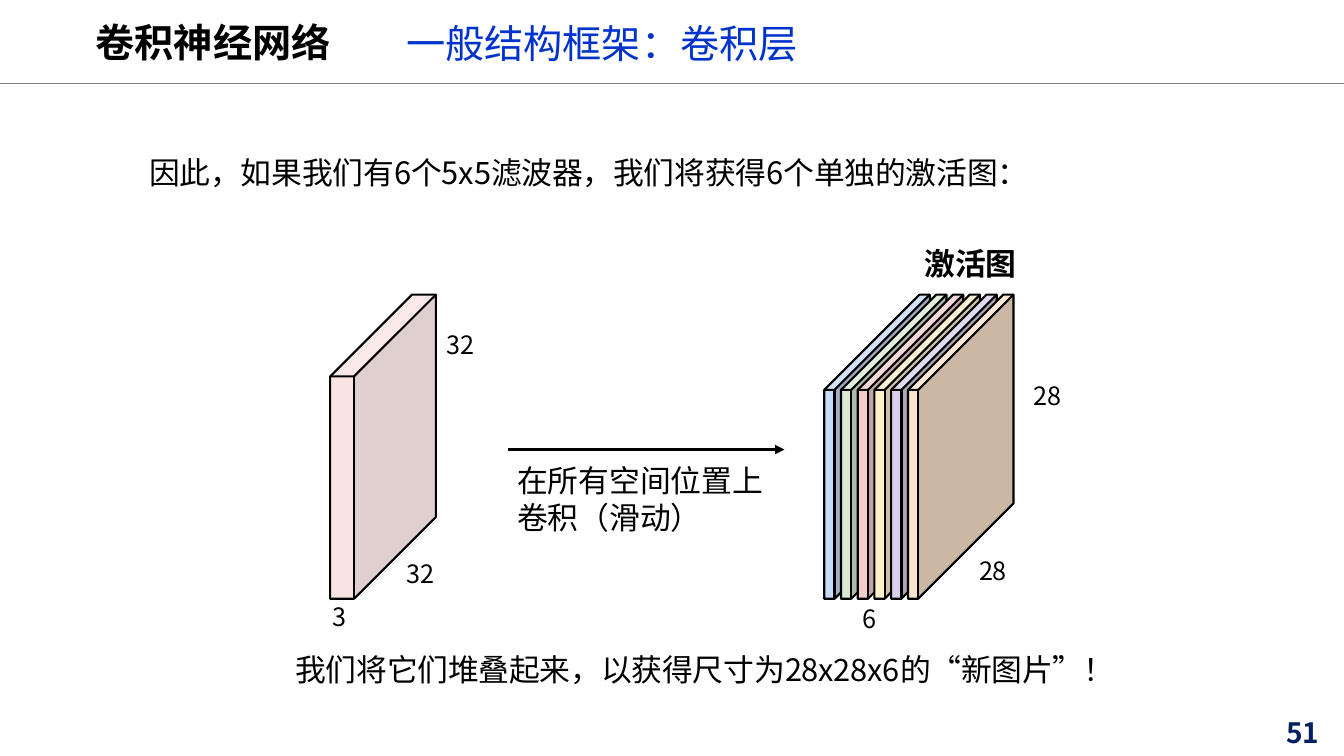
import pptx
import pptx.dml.color
import pptx.enum.dml
import pptx.enum.lang
import pptx.enum.shapes
import pptx.enum.text
import pptx.oxml.ns
import pptx.util
import lxml.etree

THEME = {
    "font": "Noto Sans CJK SC",
    "black": "000000", "blue": "0033CC", "navy": "002060", "rule": "7F7F7F",
    "title": 28, "body": 22, "number": 20, "label": 18,
    "rule_width": 1, "edge_width": 1.5, "arrow_width": 2.25,
    "input": ("F4CCCC", "C3A3A3", "F6D6D6"),
    "maps": [
        ("C9DAF7", "A0AEC6", "D3E1F9"), ("D9EAD3", "ADBBA8", "E0EEDB"),
        ("F4CCCC", "C3A3A3", "F6D6D6"), ("FFF1CC", "CBC1A3", "FFF4D6"),
        ("D9D1E9", "ADA7BA", "E0DBED"), ("FCE4CD", "C9B7A3", "FCEAD7"),
    ],
}

presentation = pptx.Presentation()
presentation.slide_width = pptx.util.Inches(13.33)
presentation.slide_height = pptx.util.Inches(7.5)
slide = presentation.slides.add_slide(presentation.slide_layouts[6])
COLUMNS, ROWS = 133.3, 75
COLUMN = presentation.slide_width / COLUMNS
ROW = presentation.slide_height / ROWS


def write_text(text, left, top, width, height, size="label", color="black", bold=False,
               margins=(0.1, 0.25, 0, 0), spacing=None, tracking=0, grow=True):
    shape = slide.shapes.add_textbox(round(left * COLUMN), round(top * ROW),
                                     round(width * COLUMN), round(height * ROW))
    frame = shape.text_frame
    frame.word_wrap = True
    if grow:
        frame.auto_size = pptx.enum.text.MSO_AUTO_SIZE.SHAPE_TO_FIT_TEXT
    frame.margin_left, frame.margin_top, frame.margin_right, frame.margin_bottom = [
        round(margin * ROW) for margin in margins]
    paragraph = frame.paragraphs[0]
    if spacing:
        paragraph.line_spacing = spacing
    run = paragraph.add_run()
    run.text = text
    run.font.name = THEME["font"]
    run.font.size = pptx.util.Pt(THEME[size])
    run.font.bold = bold
    run.font.color.rgb = pptx.dml.color.RGBColor.from_string(THEME[color])
    run.font.language_id = pptx.enum.lang.MSO_LANGUAGE_ID.SIMPLIFIED_CHINESE
    properties = run.font._element
    properties.set("spc", str(tracking))
    lxml.etree.SubElement(properties, pptx.oxml.ns.qn("a:ea"), typeface=THEME["font"])


def draw_path(points, fill=None, opacity=100, closed=True):
    corners = [(round(x * COLUMN), round(y * ROW)) for x, y in points]
    builder = slide.shapes.build_freeform(*corners[0])
    builder.add_line_segments(corners[1:], close=closed)
    shape = builder.convert_to_shape()
    shape.shadow.inherit = False
    if fill:
        shape.line.fill.background()
        shape.fill.solid()
        shape.fill.fore_color.rgb = pptx.dml.color.RGBColor.from_string(fill)
        if opacity < 100:
            color = next(shape._element.spPr.iter(pptx.oxml.ns.qn("a:srgbClr")))
            lxml.etree.SubElement(color, pptx.oxml.ns.qn("a:alpha"), val=str(opacity * 1000))
    else:
        shape.fill.background()
        shape.line.color.rgb = pptx.dml.color.RGBColor.from_string(THEME["black"])
        shape.line.width = pptx.util.Pt(THEME["edge_width"])


BACK_TOP, BOTTOM = 29.23, 59.4
MAP_LEFT, MAP_STEP = 81.75, 1.66
slabs = [(32.75, 2.37, 8.12, THEME["input"], 52)]
slabs += [(MAP_LEFT + index * MAP_STEP, 1.02, 9.45, colors, 100)
          for index, colors in enumerate(THEME["maps"])]
lines = [(0, 8.3, COLUMNS, 8.3, "rule", "rule_width", False)]

for left, thickness, depth, (front, side, lid), opacity in slabs:
    right, top = left + thickness, BACK_TOP + depth
    front_left, front_right = (left, top), (right, top)
    back_left, back_right = (left + depth, BACK_TOP), (right + depth, BACK_TOP)
    base_left, base_right = (left, BOTTOM), (right, BOTTOM)
    base_back = (right + depth, BOTTOM - depth)
    draw_path([front_left, front_right, base_right, base_left], front, opacity)
    draw_path([base_right, front_right, back_right, base_back], side, opacity)
    draw_path([front_right, front_left, back_left, back_right], lid, opacity)
    draw_path([front_left, back_left, back_right, base_back, base_right, base_left])
    draw_path([front_left, front_right, back_right], closed=False)
    lines.append((right, top, right, BOTTOM, "black", "edge_width", False))

lines.append((50.4, 44.6, 77.8, 44.6, "black", "arrow_width", True))
for start_x, start_y, end_x, end_y, color, width, arrow in lines:
    connector = slide.shapes.add_connector(
        pptx.enum.shapes.MSO_CONNECTOR.STRAIGHT,
        round(start_x * COLUMN), round(start_y * ROW), round(end_x * COLUMN), round(end_y * ROW))
    connector.line.color.rgb = pptx.dml.color.RGBColor.from_string(THEME[color])
    connector.line.width = pptx.util.Pt(THEME[width])
    if arrow:
        lxml.etree.SubElement(connector.line._get_or_add_ln(),
                              pptx.oxml.ns.qn("a:tailEnd"), type="triangle")
    lxml.etree.SubElement(connector._element.spPr, pptx.oxml.ns.qn("a:effectLst"))

FRAME = (1, 0.5, 1, 0.5)
write_text("卷积神经网络", 8.5, 1.3, 122, 5.7, size="title", bold=True, margins=FRAME)
write_text("一般结构框架：卷积层", 39.3, 2, 56.2, 5.4, size="title", color="blue",
           margins=FRAME, spacing=0.9, grow=False)
write_text("51", 126.6, 70.5, 6.7, 4.4, size="number", color="navy", bold=True, margins=FRAME)

write_text("因此，如果我们有6个5x5滤波器，我们将获得6个单独的激活图：",
           14.7, 15, 105.2, 3.8, size="body", tracking=-10)
write_text("激活图", 91.6, 24, 11.4, 3.8, size="body", bold=True, tracking=-10)
write_text("在所有空间位置上卷积（滑动）", 51.2, 45.5, 26.6, 7.4, size="body", spacing=1.01)
write_text("我们将它们堆叠起来，以获得尺寸为28x28x6的“新图片”！",
           29.2, 64.3, 87.6, 3.8, size="body", tracking=-10)

for text, left, top, width in [
    ("32", 40.2, 55.1, 3.1), ("32", 44.2, 32.4, 3.1), ("3", 32.9, 59.4, 1.7),
    ("6", 85.4, 59.6, 1.7), ("28", 97, 54.8, 3.1), ("28", 102.4, 37.5, 3.1),
]:
    write_text(text, left, top, width, 3.3, tracking=-10 if len(text) > 1 else 0)

presentation.save("out.pptx")
